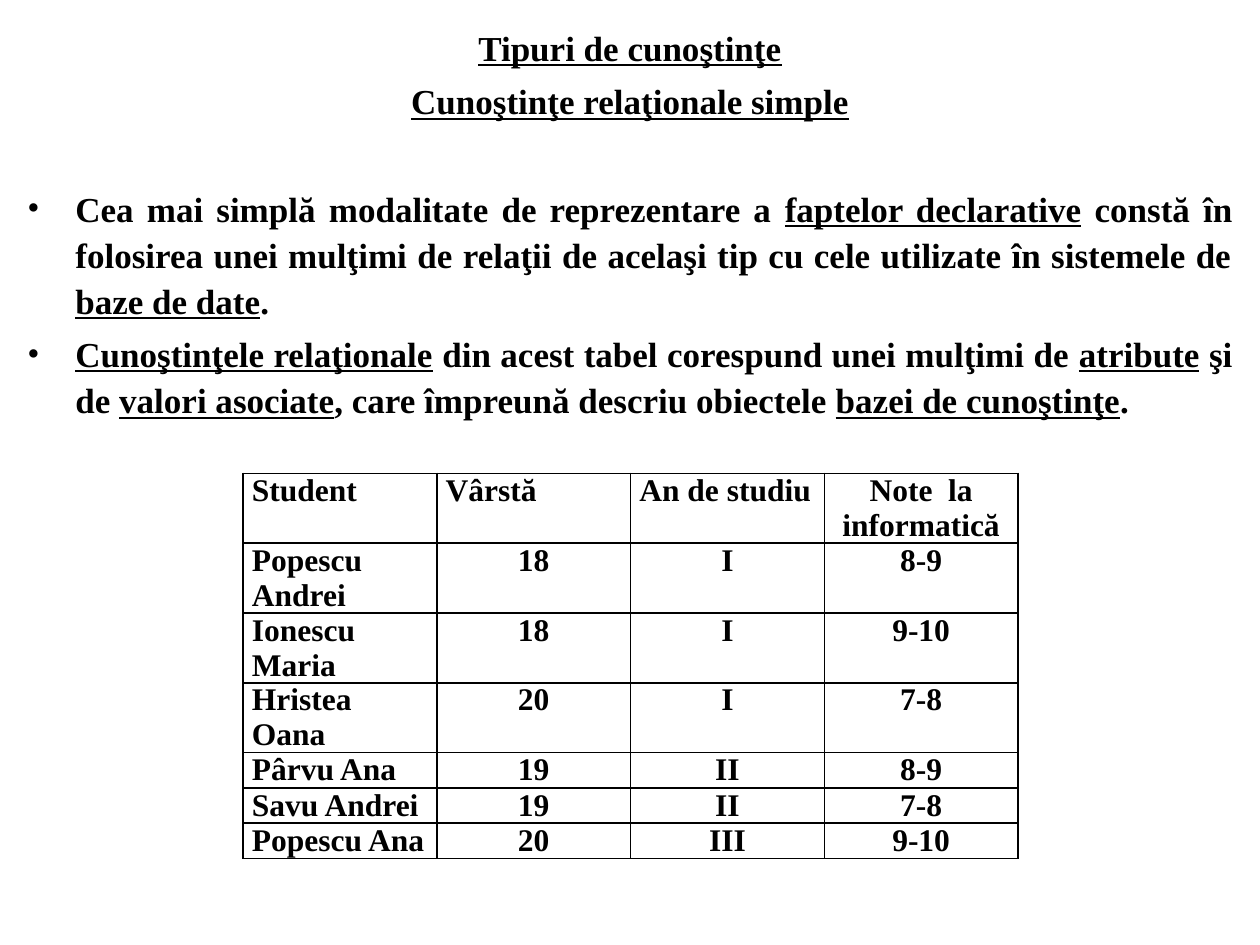
from pptx import Presentation
from pptx.dml.color import RGBColor
from pptx.enum.text import MSO_ANCHOR, MSO_AUTO_SIZE, PP_ALIGN as Align
from pptx.oxml import parse_xml
from pptx.oxml.ns import nsdecls
from pptx.util import Inches, Pt

WIDTH, HEIGHT = 10, 7.5


def color(value):
    return RGBColor.from_string(value)


class SlideBuilder:
    font = "Times New Roman"
    ink = "000000"
    text_size = 20
    table_size = 18
    line_spacing = 1.1
    indent = 0.38

    def __init__(self, deck):
        self.page = deck.slides.add_slide(deck.slide_layouts[5])

    def area(self, left, top, width, height):
        return (Inches(left * WIDTH), Inches(top * HEIGHT),
                Inches(width * WIDTH), Inches(height * HEIGHT))

    def add_spans(self, para, runs, size, align):
        para.alignment = align
        for text, underlined in runs:
            span = para.add_run()
            span.text = text
            span.font.name = self.font
            span.font.size = Pt(size)
            span.font.bold = True
            span.font.underline = underlined
            span.font.color.rgb = color(self.ink)

    def fill_frame(self, frame, paragraphs, align, bulleted=False):
        frame.word_wrap = True
        frame.auto_size = MSO_AUTO_SIZE.NONE
        frame.vertical_anchor = MSO_ANCHOR.TOP
        for index, runs in enumerate(paragraphs):
            para = frame.add_paragraph() if index else frame.paragraphs[0]
            para.line_spacing = self.line_spacing
            para.space_before = Pt(self.text_size * 0.2)
            self.add_spans(para, runs, self.text_size, align)
            if bulleted:
                self.bullet(para)

    def bullet(self, para):
        props = para._p.get_or_add_pPr()
        props.set("marL", str(Inches(self.indent)))
        props.set("indent", str(-Inches(self.indent)))
        props.append(parse_xml(f'<a:buFont {nsdecls("a")} typeface="{self.font}"/>'))
        props.append(parse_xml(f'<a:buChar {nsdecls("a")} char="•"/>'))

    def title(self, lines, area):
        box = self.page.shapes.title
        box.left, box.top, box.width, box.height = self.area(*area)
        self.fill_frame(box.text_frame, [[(line, True)] for line in lines], Align.CENTER)

    def bullets(self, paragraphs, area):
        box = self.page.shapes.add_textbox(*self.area(*area))
        self.fill_frame(box.text_frame, paragraphs, Align.JUSTIFY, bulleted=True)

    def table(self, rows, row_heights, area):
        frame = self.page.shapes.add_table(len(rows), len(rows[0]), *self.area(*area))
        grid = frame.table
        grid.first_row = grid.horz_banding = False
        for row, height in zip(grid.rows, row_heights):
            row.height = Inches(height)
        for row_index, row in enumerate(rows):
            for column, text in enumerate(row):
                centered = column == 3 or (row_index and column)
                align = Align.CENTER if centered else Align.JUSTIFY
                self.cell(grid.cell(row_index, column), text, align)

    def cell(self, cell, text, align):
        cell.margin_left = cell.margin_right = Inches(0.07)
        cell.margin_top = cell.margin_bottom = 0
        self.add_spans(cell.text_frame.paragraphs[0], [(text, False)], self.table_size, align)
        props = cell._tc.get_or_add_tcPr()
        for side in ("lnL", "lnR", "lnT", "lnB"):
            props.append(parse_xml(
                f'<a:{side} {nsdecls("a")} w="{Pt(1)}"><a:solidFill>'
                f'<a:srgbClr val="{self.ink}"/></a:solidFill></a:{side}>'))
        cell.fill.background()


deck = Presentation()
deck.slide_width, deck.slide_height = Inches(WIDTH), Inches(HEIGHT)
slide = SlideBuilder(deck)

slide.title(["Tipuri de cunoştinţe", "Cunoştinţe relaţionale simple"],
            (0.012, 0.017, 0.976, 0.15))

slide.bullets([
    [("Cea mai simplă modalitate de reprezentare a ", False),
     ("faptelor declarative", True),
     (" constă în folosirea unei mulţimi de relaţii de acelaşi tip cu cele "
      "utilizate în sistemele de ", False),
     ("baze de date", True),
     (".", False)],
    [("Cunoştinţele relaţionale", True),
     (" din acest tabel corespund unei mulţimi de ", False),
     ("atribute", True),
     (" şi de ", False),
     ("valori asociate", True),
     (", care împreună descriu obiectele ", False),
     ("bazei de cunoştinţe", True),
     (".", False)],
], (0.012, 0.187, 0.976, 0.29))

students = [
    ("Student", "Vârstă", "An de studiu", "Note  la informatică"),
    ("Popescu Andrei", "18", "I", "8-9"),
    ("Ionescu Maria", "18", "I", "9-10"),
    ("Hristea Oana", "20", "I", "7-8"),
    ("Pârvu Ana", "19", "II", "8-9"),
    ("Savu Andrei", "19", "II", "7-8"),
    ("Popescu Ana", "20", "III", "9-10"),
]
slide.table(students, [0.55] * 4 + [0.28] * 3, (0.193, 0.501, 0.615, 0.405))

deck.save("out.pptx")
